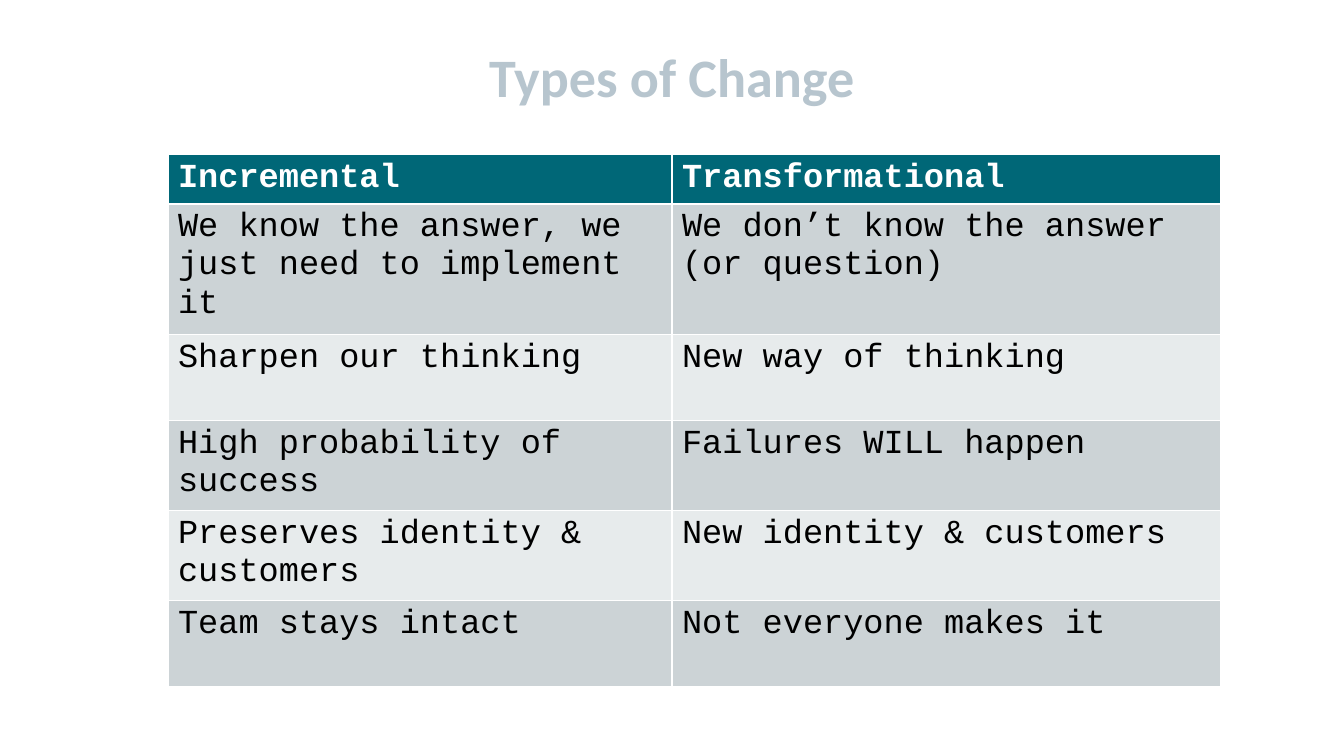
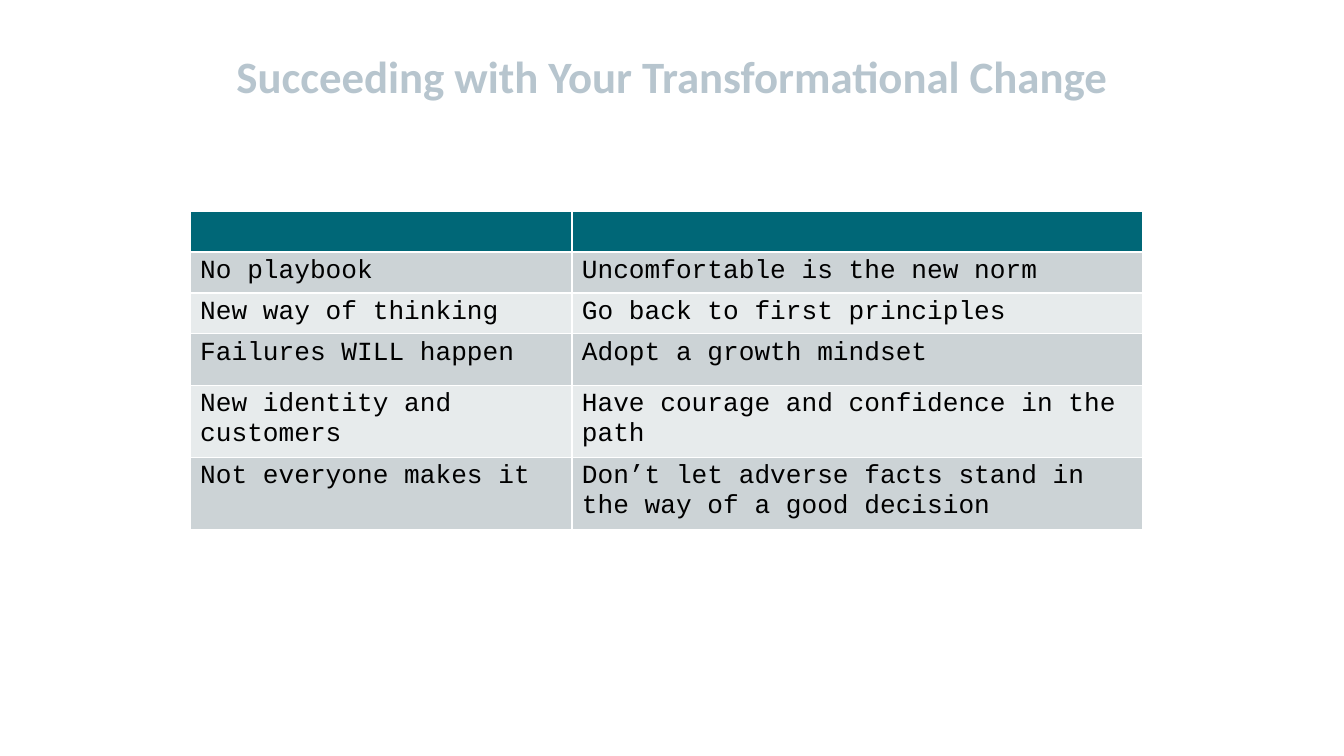
from lxml.etree import SubElement
from pptx import Presentation
from pptx.dml.color import RGBColor
from pptx.enum.text import MSO_ANCHOR, PP_ALIGN
from pptx.oxml.ns import qn
from pptx.util import Pt

PX = 4572  # 200 px to the inch
TITLE_COLOR = RGBColor(0xB7, 0xC5, 0xCE)
HEADER_FILL = RGBColor(0x00, 0x67, 0x77)
BAND_FILLS = [RGBColor(0xE7, 0xEB, 0xEC), RGBColor(0xCC, 0xD3, 0xD6)]
WHITE = RGBColor(0xFF, 0xFF, 0xFF)
BLACK = RGBColor(0x00, 0x00, 0x00)
TITLE_FONT = "Calibri"
TABLE_FONT = "Courier New"

SLIDES = [
    {
        "title": "Types of Change", "title_size": 29, "text_size": 18,
        "left": 250, "top": 230,
        "columns": [750, 816], "heights": [70, 184, 128, 128, 128, 128],
        "rows": [
            ("Incremental", "Transformational"),
            ("We know the answer, we just need to implement it",
             "We don’t know the answer (or question)"),
            ("Sharpen our thinking", "New way of thinking"),
            ("High probability of success", "Failures WILL happen"),
            ("Preserves identity & customers", "New identity & customers"),
            ("Team stays intact", "Not everyone makes it"),
        ],
    },
    {
        "title": "Succeeding with Your Transformational Change",
        "title_size": 24, "text_size": 14,
        "left": 283, "top": 314,
        "columns": [568, 850], "heights": [60, 61, 61, 77, 103, 104],
        "rows": [
            ("", ""),
            ("No playbook", "Uncomfortable is the new norm"),
            ("New way of thinking", "Go back to first principles"),
            ("Failures WILL happen", "Adopt a growth mindset"),
            ("New identity and customers",
             "Have courage and confidence in the path"),
            ("Not everyone makes it",
             "Don’t let adverse facts stand in the way of a good decision"),
        ],
    },
]


def add_run(paragraph, text, font, size, color, bold):
    run = paragraph.add_run()
    run.text = text
    run.font.name = font
    run.font.size = Pt(size)
    run.font.color.rgb = color
    run.font.bold = bold


presentation = Presentation()
presentation.slide_width = 2000 * PX
presentation.slide_height = 1125 * PX

for content in SLIDES:
    slide = presentation.slides.add_slide(presentation.slide_layouts[6])

    # Title
    title = slide.shapes.add_textbox(100 * PX, 50 * PX, 1800 * PX, 125 * PX)
    title.text_frame.word_wrap = True
    title.text_frame.vertical_anchor = MSO_ANCHOR.MIDDLE
    paragraph = title.text_frame.paragraphs[0]
    paragraph.alignment = PP_ALIGN.CENTER
    add_run(paragraph, content["title"], TITLE_FONT, content["title_size"],
            TITLE_COLOR, True)

    # Table grid; the default table style draws the white cell lines
    columns, heights = content["columns"], content["heights"]
    table = slide.shapes.add_table(
        len(heights), len(columns), content["left"] * PX, content["top"] * PX,
        sum(columns) * PX, sum(heights) * PX).table
    for column, width in zip(table.columns, columns):
        column.width = width * PX
    for row, height in zip(table.rows, heights):
        row.height = height * PX

    # Header row and banded rows
    for row_index, texts in enumerate(content["rows"]):
        header = row_index == 0
        for column_index, text in enumerate(texts):
            cell = table.cell(row_index, column_index)
            cell.margin_left = cell.margin_right = 15 * PX
            cell.margin_top = cell.margin_bottom = 7 * PX
            cell.fill.solid()
            cell.fill.fore_color.rgb = (
                HEADER_FILL if header else BAND_FILLS[row_index % 2])
            paragraph = cell.text_frame.paragraphs[0]
            if text:
                add_run(paragraph, text, TABLE_FONT, content["text_size"],
                        WHITE if header else BLACK, header)
            else:
                # An empty cell keeps the text size, so its row stays low
                SubElement(paragraph._p, qn("a:endParaRPr"),
                           sz=str(content["text_size"] * 100))

presentation.save("out.pptx")
